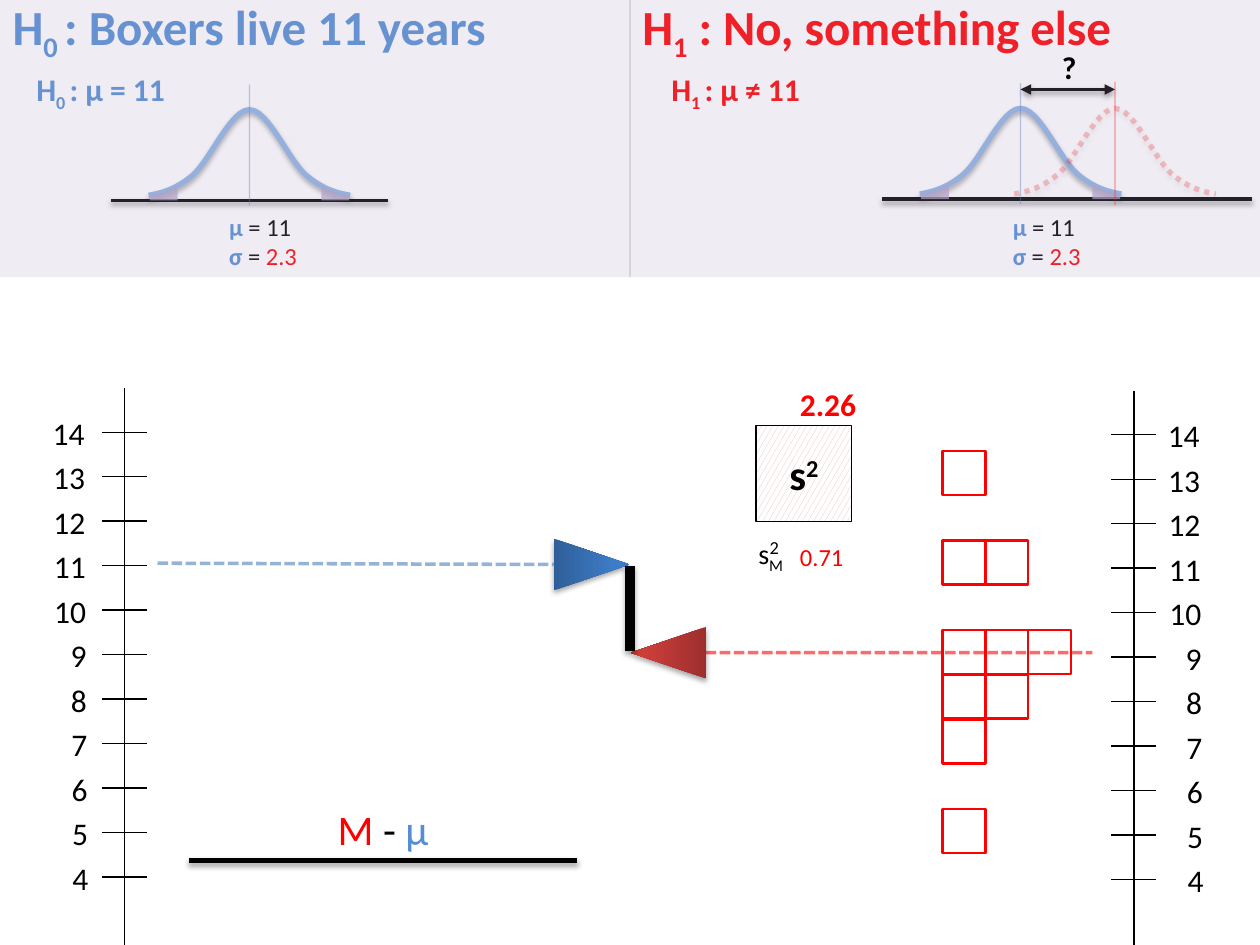
"""Build a slide that compares two hypotheses on how long boxers live."""
from dataclasses import dataclass
from typing import NamedTuple, Optional

from lxml.etree import SubElement
from pptx import Presentation
from pptx.dml.color import RGBColor
from pptx.enum.dml import MSO_LINE, MSO_PATTERN
from pptx.enum.shapes import MSO_CONNECTOR, MSO_SHAPE
from pptx.enum.text import MSO_ANCHOR, MSO_AUTO_SIZE, PP_ALIGN
from pptx.oxml.ns import qn
from pptx.util import Inches, Pt


@dataclass(frozen=True)
class Theme:
    font: str = "Calibri"
    black: str = "000000"
    white: str = "FFFFFF"
    red: str = "FF0000"
    blue: str = "558ED5"
    curve: str = "8EB4E3"
    mark: str = "4B7EBC"
    grey: str = "BFBFBF"
    tint: str = "B3A2C7"
    pink: str = "E6B9B8"
    blues: tuple = ("2F5F99", "3D7CC7", "3A7CCB")
    reds: tuple = ("9C2F2D", "CB3E3A", "CE3B37")
    title: float = 28
    large: float = 24
    body: float = 18
    mid: float = 16
    small: float = 14
    tiny: float = 10.5


class Pen(NamedTuple):
    color: str
    width: float = 0.75
    dash: Optional[MSO_LINE] = None
    alpha: int = 100
    shade: int = 0


class Bit(NamedTuple):
    text: str
    color: str = "000000"
    bold: bool = False
    base: int = 0


class Box(NamedTuple):
    left: float
    top: float
    width: float
    height: float


class Axis(NamedTuple):
    left: float
    low: float
    shift: float


T = Theme()
deck = Presentation()
deck.slide_width, deck.slide_height = Inches(10), Inches(7.5)
CELL = deck.slide_width // 100
STEP = 3.53
slide = deck.slides.add_slide(deck.slide_layouts[5])
shapes = slide.shapes


def grid(*vals: float) -> list:
    return [round(val * CELL) for val in vals]


def apply(item, vals: dict) -> None:
    for key, val in vals.items():
        setattr(item, key, val)


def fade(node, alpha: int) -> None:
    if alpha < 100:
        for color in node.iter(qn("a:srgbClr")):
            SubElement(color, qn("a:alpha"), val=str(alpha * 1000))


def effect(shape, alpha: int = 0) -> None:
    props = shape._element.spPr
    for old in props.findall(qn("a:effectLst")):
        props.remove(old)
    group = SubElement(props, qn("a:effectLst"))
    if alpha:
        shade = SubElement(group, qn("a:outerShdw"), blurRad=str(Pt(3.1)), dist=str(Pt(1.8)),
                           dir="5400000", rotWithShape="0")
        color = SubElement(shade, qn("a:srgbClr"), val=T.black)
        SubElement(color, qn("a:alpha"), val=str(alpha * 1000))


def ink(shape, pen: Optional[Pen]) -> None:
    if pen is None:
        shape.line.fill.background()
        effect(shape)
        return
    shape.line.color.rgb = RGBColor.from_string(pen.color)
    apply(shape.line, {"width": Pt(pen.width), "dash_style": pen.dash})
    fade(shape._element.spPr.find(qn("a:ln")), pen.alpha)
    effect(shape, pen.shade)


def paint(shape, color: str = "", alpha: int = 100) -> None:
    if not color:
        shape.fill.background()
        return
    shape.fill.solid()
    shape.fill.fore_color.rgb = RGBColor.from_string(color)
    fade(shape._element.spPr.find(qn("a:solidFill")), alpha)


def line(x1: float, y1: float, x2: float, y2: float, pen: Pen, ends: bool = False) -> None:
    item = shapes.add_connector(MSO_CONNECTOR.STRAIGHT, *grid(x1, y1, x2, y2))
    ink(item, pen)
    if ends:
        for tag in ("a:headEnd", "a:tailEnd"):
            SubElement(item._element.spPr.find(qn("a:ln")), qn(tag), type="triangle")


def write(frame, rows: list, size: float, align=PP_ALIGN.LEFT, anchor=MSO_ANCHOR.TOP, wrap: bool = True) -> None:
    apply(frame, {"word_wrap": wrap, "auto_size": MSO_AUTO_SIZE.NONE, "vertical_anchor": anchor})
    for num, row in enumerate(rows):
        para = frame.add_paragraph() if num else frame.paragraphs[0]
        para.alignment = align
        for bit in row:
            run = para.add_run()
            run.text = bit.text
            apply(run.font, {"name": T.font, "size": Pt(size), "bold": bit.bold})
            run.font.color.rgb = RGBColor.from_string(bit.color)
            if bit.base:
                run.font._element.set("baseline", str(bit.base * 1000))


def text(box: Box, rows: list, size: float, **form) -> None:
    write(shapes.add_textbox(*grid(*box)).text_frame, rows, size, **form)


def block(box: Box, pen: Optional[Pen], color: str = "", alpha: int = 100, kind=MSO_SHAPE.RECTANGLE):
    item = shapes.add_shape(kind, *grid(*box))
    paint(item, color, alpha)
    ink(item, pen)
    return item


def wedge(box: Box, turn: int, stops: tuple) -> None:
    item = block(box, None, kind=MSO_SHAPE.ISOSCELES_TRIANGLE)
    item.rotation = turn
    item.fill.gradient()
    item.fill.gradient_angle = 90
    group = item._element.spPr.find(qn("a:gradFill")).find(qn("a:gsLst"))
    group.clear()
    for pos, color in zip((0, 80, 100), stops):
        stop = SubElement(group, qn("a:gs"), pos=str(pos * 1000))
        SubElement(stop, qn("a:srgbClr"), val=color)
    effect(item, 35)


def trace(spots: list, close: bool):
    spots = [tuple(grid(*spot)) for spot in spots]
    form = shapes.build_freeform(*spots[0])
    form.add_line_segments(spots[1:], close=close)
    return form.convert_to_shape()


def bell(mid: float, base: float, pen: Pen) -> None:
    half = [(-8, .4), (-6.9, .6), (-5.8, .9), (-4.5, 2), (-3.1, 3.2), (-1.5, 7.2), (0, 7.2)]
    knots = half + [(-x, y) for x, y in half[-2::-1]]
    spots = [knots[0]]
    for at in range(0, 12, 3):
        for part in range(1, 13):
            t = part / 12
            share = ((1 - t) ** 3, 3 * t * (1 - t) ** 2, 3 * t * t * (1 - t), t ** 3)
            spots.append(tuple(sum(s * k[d] for s, k in zip(share, knots[at:at + 4])) for d in (0, 1)))
    item = trace([(mid + x, base - y) for x, y in spots], False)
    paint(item)
    ink(item, pen)


def tails(mid: float, base: float) -> None:
    edge = [(7.9, 0), (7.9, .4), (6.9, .6), (6.3, .9), (5.7, 1.2), (5.7, 0)]
    for side in (1, -1):
        item = trace([(mid + side * x, base - y) for x, y in edge], True)
        paint(item, T.tint, 70)
        ink(item, None)


def model(mid: float, base: float, left: float, right: float, note: Box) -> None:
    line(left, base, right, base, Pen(T.black, 2, shade=38))
    bell(mid, base, Pen(T.curve, 3, shade=35))
    line(mid, base - 9.2, mid, base + .4, Pen(T.mark, alpha=42))
    text(note, [[Bit("µ", T.blue, True), Bit(" = 11")],
                [Bit("σ", T.blue, True), Bit(" = "), Bit("2.3", T.red)]], T.small)
    tails(mid, base)


def scale(axis: Axis) -> None:
    for num in range(4, 15):
        y = axis.low - (num - 4) * STEP
        line(axis.left, y, axis.left + 3.55, y, Pen(T.black))
        text(Box(axis.shift + .22 - .03 * num, y - 1.7, 7.9, 3.5), [[Bit(str(num))]], T.body,
             align=PP_ALIGN.RIGHT, anchor=MSO_ANCHOR.MIDDLE)
    line(axis.left + 1.8, axis.low - 38.8, axis.left + 1.8, axis.low + 5.4, Pen(T.black))


def main() -> None:
    head = shapes.title
    apply(head, dict(zip(("left", "top", "width", "height"), grid(0, -.8, 50, 5.7))))
    write(head.text_frame, [[Bit("H", T.blue, True), Bit("0 ", T.blue, True, -25),
                             Bit(": Boxers live 11 years", T.blue, True)]], T.title)
    text(Box(50, -.8, 55, 5.7), [[Bit("H", T.red, True), Bit("1", T.red, True, -25),
                                  Bit(" : No, something else", T.red, True)]], T.title)
    wedge(Box(44.9, 41.8, 4.1, 6), 90, T.blues)
    line(12.5, 44.7, 44, 44.8, Pen(T.mark, 2, MSO_LINE.SQUARE_DOT, 58))
    for axis in (Axis(8.1, 69.6, 0), Axis(88.2, 69.8, 88.5)):
        scale(axis)
    line(15, 68.3, 45.8, 68.3, Pen(T.black, 3, shade=35))
    text(Box(15, 63.3, 30.8, 5), [[Bit("M", T.red), Bit(" - "), Bit("µ", T.blue)]], T.large, align=PP_ALIGN.CENTER)
    for age, count in {13: 1, 11: 2, 9: 3, 8: 2, 7: 1, 5: 1}.items():
        for col in range(count):
            block(Box(74.8 + 3.4 * col, 64.2 - 3.55 * (age - 5), 3.4, 3.5), Pen(T.red, 1.5))
    line(56, 51.8, 86.7, 51.8, Pen(T.red, 2, MSO_LINE.SQUARE_DOT, 58))
    wedge(Box(51, 48.8, 4.1, 6), 270, T.reds)
    line(50, 51.7, 50, 44.9, Pen(T.black, 5.5, shade=35))
    model(81, 15.8, 70, 99.4, Box(79.4, 16.3, 9, 5.7))
    bell(88.5, 15.8, Pen(T.red, 3, MSO_LINE.ROUND_DOT, 26, 35))
    line(81, 7.1, 88.5, 7.1, Pen(T.black, 2, shade=38), True)
    line(88.5, 6.5, 88.5, 16.3, Pen(T.red, alpha=42))
    model(19.8, 15.9, 8.8, 30.8, Box(17.2, 16.3, 9.9, 5.7))
    for left, mark, claim, color in ((1.9, "0 ", ": µ = 11", T.blue), (52.3, "1 ", ": µ ≠ 11", T.red)):
        text(Box(left, 5.1, 13.3, 4), [[Bit("H", color, True), Bit(mark, color, True, -25), Bit(claim, color, True)]],
             T.body, wrap=False)
    block(Box(0, 0, 100, 22), None, T.tint, 20)
    line(50, 0, 50, 22, Pen(T.grey, alpha=79))
    text(Box(82.5, 3.3, 4.7, 4), [[Bit("?", bold=True)]], T.body, align=PP_ALIGN.CENTER)
    text(Box(59.2, 42.1, 5.3, 3.7), [[Bit("s"), Bit("M", base=-25)]], T.mid)
    text(Box(60.1, 42.1, 5.3, 2.9), [[Bit("2")]], T.tiny)
    text(Box(62.5, 30.1, 10, 4), [[Bit("2.26", T.red, True)]], T.body)
    text(Box(62.5, 42.5, 6.5, 3.4), [[Bit("0.71", T.red)]], T.small)
    tile = block(Box(60, 33.8, 7.6, 7.6), Pen(T.black))
    tile.fill.patterned()
    tile.fill.pattern = MSO_PATTERN.LARGE_CONFETTI
    tile.fill.fore_color.rgb = RGBColor.from_string(T.pink)
    tile.fill.back_color.rgb = RGBColor.from_string(T.white)
    write(tile.text_frame, [[Bit("s", bold=True), Bit("2", bold=True, base=30)]], T.large,
          align=PP_ALIGN.CENTER, anchor=MSO_ANCHOR.MIDDLE)
    deck.save("out.pptx")


if __name__ == "__main__":
    main()
